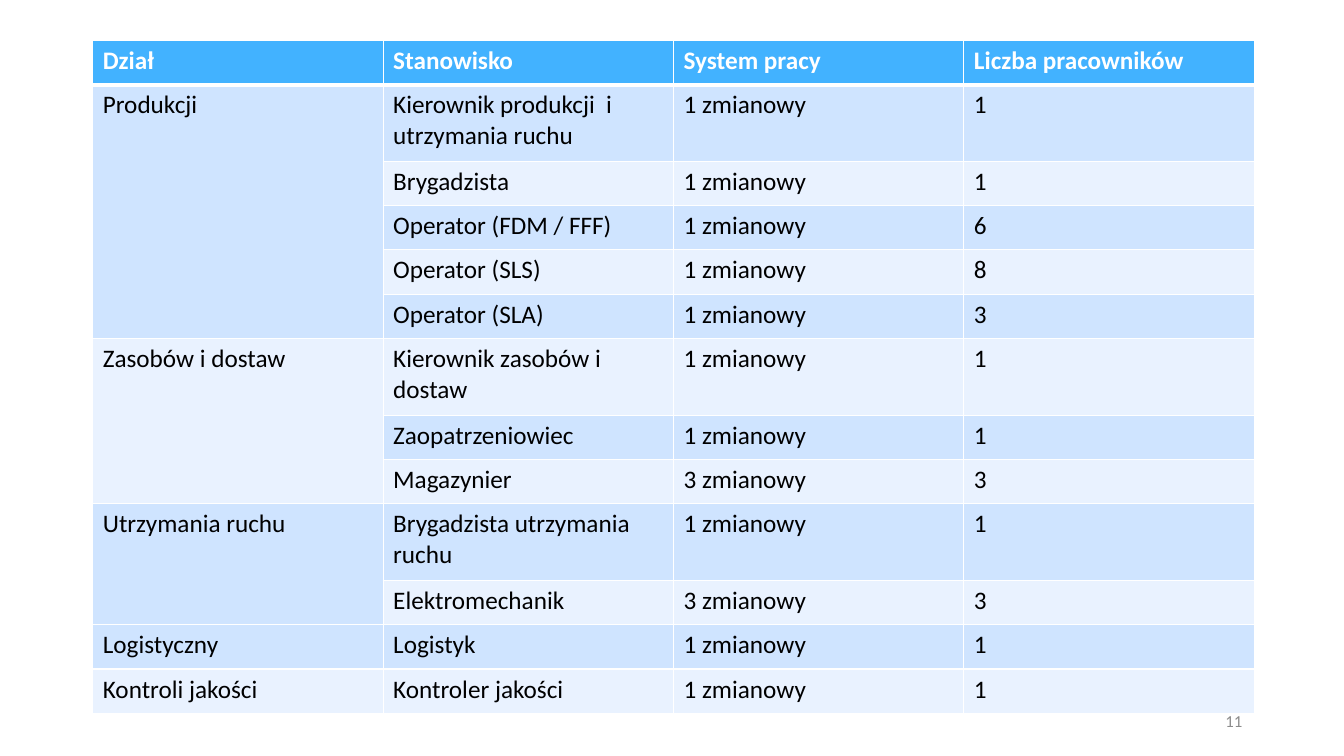
from lxml import etree
from pptx import Presentation
from pptx.dml.color import RGBColor
from pptx.enum.text import MSO_ANCHOR, PP_ALIGN
from pptx.oxml.ns import qn
from pptx.util import Inches, Pt

RIGHT = PP_ALIGN.RIGHT
MIDDLE = MSO_ANCHOR.MIDDLE

COLORS = {
    "header": "42B2FF",
    "odd": "CFE4FF",
    "even": "E9F2FF",
    "white": "FFFFFF",
    "black": "000000",
    "gray": "8C8C8C",
}
FONT = "Calibri"

HEADERS = ["Dział", "Stanowisko", "System pracy", "Liczba pracowników"]
DEPARTMENTS = [
    ("Produkcji", [
        ("Kierownik produkcji  i utrzymania ruchu", "1 zmianowy", "1"),
        ("Brygadzista", "1 zmianowy", "1"),
        ("Operator (FDM / FFF)", "1 zmianowy", "6"),
        ("Operator (SLS)", "1 zmianowy", "8"),
        ("Operator (SLA)", "1 zmianowy", "3"),
    ]),
    ("Zasobów i dostaw", [
        ("Kierownik zasobów i dostaw", "1 zmianowy", "1"),
        ("Zaopatrzeniowiec", "1 zmianowy", "1"),
        ("Magazynier", "3 zmianowy", "3"),
    ]),
    ("Utrzymania ruchu", [
        ("Brygadzista utrzymania ruchu", "1 zmianowy", "1"),
        ("Elektromechanik", "3 zmianowy", "3"),
    ]),
    ("Logistyczny", [("Logistyk", "1 zmianowy", "1")]),
    ("Kontroli jakości", [("Kontroler jakości", "1 zmianowy", "1")]),
]
PAGE_NUMBER = "11"

LEFT, TOP, COL_WIDTH = 0.92, 0.4, 2.88
ROW_HEIGHT, TALL_ROW_HEIGHT = 0.44, 0.76
ONE_LINE_CHARS = 22


def set_text(tf, text, size=18, color="black", bold=False, align=None):
    p = tf.paragraphs[0]
    p.alignment = align
    r = p.add_run()
    r.text = text
    r.font.name = FONT
    r.font.size = Pt(size)
    r.font.bold = bold
    r.font.color.rgb = RGBColor.from_string(COLORS[color])


def set_borders(cell, **widths):
    """Draw white borders; widths are points by side: L, R, T, B."""
    tc_pr = cell._tc.get_or_add_tcPr()
    for i, (side, width) in enumerate(widths.items()):
        ln = etree.Element(qn(f"a:ln{side}"), w=str(Pt(width)))
        fill = etree.SubElement(ln, qn("a:solidFill"))
        etree.SubElement(fill, qn("a:srgbClr"), val=COLORS["white"])
        tc_pr.insert(i, ln)


def add_staff_table(slide):
    rows = [HEADERS]
    spans = []
    for department, jobs in DEPARTMENTS:
        spans.append((len(rows), len(jobs)))
        for i, job in enumerate(jobs):
            rows.append([department if i == 0 else "", *job])

    heights = [TALL_ROW_HEIGHT if len(row[1]) > ONE_LINE_CHARS else ROW_HEIGHT
               for row in rows]
    table = slide.shapes.add_table(
        len(rows), len(HEADERS), Inches(LEFT), Inches(TOP),
        Inches(COL_WIDTH * len(HEADERS)), Inches(sum(heights))).table
    for column in table.columns:
        column.width = Inches(COL_WIDTH)

    for i, row in enumerate(rows):
        table.rows[i].height = Inches(heights[i])
        is_header = i == 0
        fill = "header" if is_header else "odd" if i % 2 else "even"
        for j, text in enumerate(row):
            cell = table.cell(i, j)
            cell.fill.solid()
            cell.fill.fore_color.rgb = RGBColor.from_string(COLORS[fill])
            set_borders(cell, L=1, R=1, T=3 if i == 1 else 1,
                        B=3 if is_header else 1)
            if text:
                set_text(cell.text_frame, text, bold=is_header,
                         color="white" if is_header else "black")

    for first, count in spans:
        if count > 1:
            table.cell(first, 0).merge(table.cell(first + count - 1, 0))


def add_page_number(slide):
    sp = slide.shapes.add_textbox(Inches(9.42), Inches(6.95), Inches(3), Inches(0.4))
    tf = sp.text_frame
    tf.word_wrap = True
    tf.vertical_anchor = MIDDLE
    set_text(tf, PAGE_NUMBER, size=12, color="gray", align=RIGHT)


def main():
    prs = Presentation()
    prs.slide_width, prs.slide_height = Inches(13.33), Inches(7.5)
    slide = prs.slides.add_slide(prs.slide_layouts.get_by_name("Blank"))
    add_staff_table(slide)
    add_page_number(slide)
    prs.save("out.pptx")


if __name__ == "__main__":
    main()
